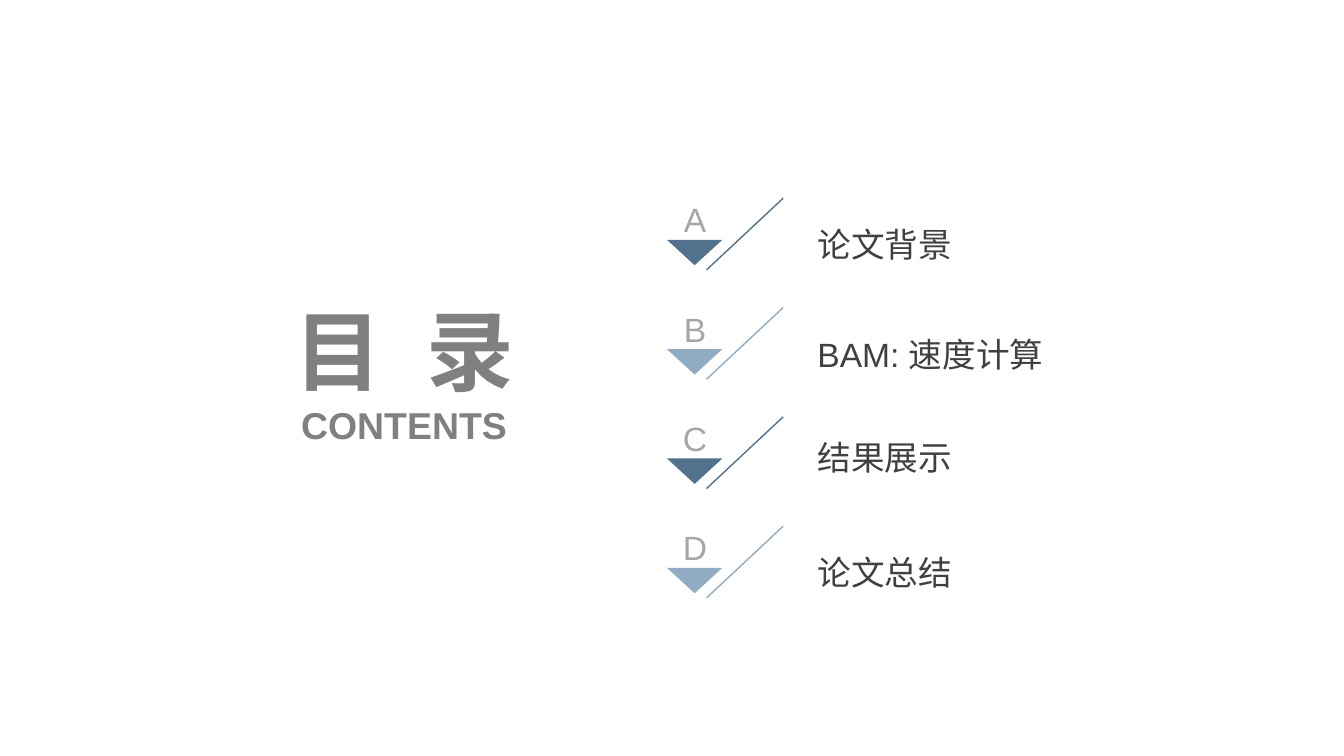
import pptx
import pptx.dml.color
import pptx.enum.shapes
import pptx.enum.text
import pptx.oxml
import pptx.oxml.ns
import pptx.util

Pt = pptx.util.Pt
ALIGN = pptx.enum.text.PP_ALIGN
ANCHOR = pptx.enum.text.MSO_ANCHOR
COLORS = {
    "heading": "808080",
    "letter": "A6A6A6",
    "label": "404040",
    "dark": "51718D",
    "light": "91ACC2",
}
LATIN = "Arial"
CHINESE = "Noto Sans CJK SC"
ENTRIES = [
    ("A", "论文背景", CHINESE, "dark", 1.3, 33.8),
    ("B", "BAM: 速度计算", LATIN, "light", 1.3, 33.8),
    ("C", "结果展示", LATIN, "dark", 1.0, 28.8),
    ("D", "论文总结", CHINESE, "light", 1.3, 33.8),
]
ROW_PITCH = 78.1


def rgb(name):
    """Return the named colour."""
    return pptx.dml.color.RGBColor.from_string(COLORS[name])


def prepare_frame(shape, alignment, anchor):
    """Clear the margins of a text shape and return its first paragraph."""
    frame = shape.text_frame
    frame.word_wrap = True
    frame.auto_size = pptx.enum.text.MSO_AUTO_SIZE.NONE
    frame.vertical_anchor = anchor
    frame.margin_left = frame.margin_right = Pt(0)
    frame.margin_top = frame.margin_bottom = Pt(0)
    paragraph = frame.paragraphs[0]
    paragraph.alignment = alignment
    return paragraph


def add_run(paragraph, text, size, color, font=LATIN, bold=False):
    """Add one formatted run with a Chinese fallback font."""
    run = paragraph.add_run()
    run.text = text
    run.font.size = Pt(size)
    run.font.bold = bold
    run.font.name = font
    run.font.color.rgb = rgb(color)
    properties = run._r.get_or_add_rPr()
    east_asian = pptx.oxml.parse_xml(
        f'<a:ea {pptx.oxml.ns.nsdecls("a")} typeface="{CHINESE}"/>')
    properties.find(pptx.oxml.ns.qn("a:latin")).addnext(east_asian)
    return run


def add_text(shapes, box, alignment, anchor):
    """Add a text box and return its paragraph."""
    shape = shapes.add_textbox(*map(Pt, box))
    return prepare_frame(shape, alignment, anchor)


def add_heading(slide, left, top, width):
    """Place the title with its English subtitle below."""
    title = slide.shapes.title
    title.left, title.top = Pt(left), Pt(top)
    title.width, title.height = Pt(width), Pt(75.6)
    paragraph = prepare_frame(title, ALIGN.CENTER, ANCHOR.MIDDLE)
    add_run(paragraph, "目", 62.6, "heading", bold=True)
    gap = add_run(paragraph, " ", 62.6, "heading", bold=True)
    gap._r.get_or_add_rPr().set("spc", "1740")
    add_run(paragraph, "录", 62.6, "heading", bold=True)
    subtitle = add_text(slide.shapes, (left + 1, top + 75.6, width - 2, 32.4),
                        ALIGN.CENTER, ANCHOR.TOP)
    add_run(subtitle, "CONTENTS", 26.7, "heading", bold=True)


def add_slash(shapes, left, top, color):
    """Draw the thin slanted line of an entry."""
    line = shapes.add_connector(
        pptx.enum.shapes.MSO_CONNECTOR.STRAIGHT,
        Pt(left + 54.7), Pt(top), Pt(left), Pt(top + 51.2))
    line.line.color.rgb = rgb(color)
    line.line.width = Pt(1)
    line._element.spPr.append(pptx.oxml.parse_xml(
        f'<a:effectLst {pptx.oxml.ns.nsdecls("a")}/>'))


def add_pointer(shapes, left, top, color):
    """Draw the downward triangle of an entry."""
    builder = shapes.build_freeform(Pt(left), Pt(top))
    builder.add_line_segments(
        [(Pt(left + 39.6), Pt(top)), (Pt(left + 19.8), Pt(top + 18.2))],
        close=True)
    triangle = builder.convert_to_shape()
    triangle.shadow.inherit = False
    triangle.fill.solid()
    triangle.fill.fore_color.rgb = rgb(color)
    triangle.line.fill.background()


def add_entry(slide, left, top, entry):
    """Place one grouped contents entry."""
    letter, text, font, color, spacing, height = entry
    shapes = slide.shapes.add_group_shape().shapes
    label = add_text(shapes, (left + 108.7, top + 28.6 - height / 2, 229, height),
                     ALIGN.LEFT, ANCHOR.MIDDLE)
    label.line_spacing = spacing
    add_run(label, text, 24, "label", font)
    add_slash(shapes, left + 29.5, top, color)
    add_pointer(shapes, left + 1.2, top + 29.7, color)
    marker = add_text(shapes, (left, top + 0.7, 42.5, 28.8),
                      ALIGN.CENTER, ANCHOR.BOTTOM)
    add_run(marker, letter, 24, "letter")


def add_contents_slide(presentation):
    """Build the contents slide."""
    slide = presentation.slides.add_slide(presentation.slide_layouts[5])
    add_heading(slide, 181.4, 211.7, 214.6)
    for index, entry in enumerate(ENTRIES):
        add_entry(slide, 475.2, 141.6 + index * ROW_PITCH, entry)


def main():
    """Create and save the presentation."""
    presentation = pptx.Presentation()
    presentation.slide_width = Pt(960)
    presentation.slide_height = Pt(540)
    add_contents_slide(presentation)
    presentation.save("out.pptx")


if __name__ == "__main__":
    main()
